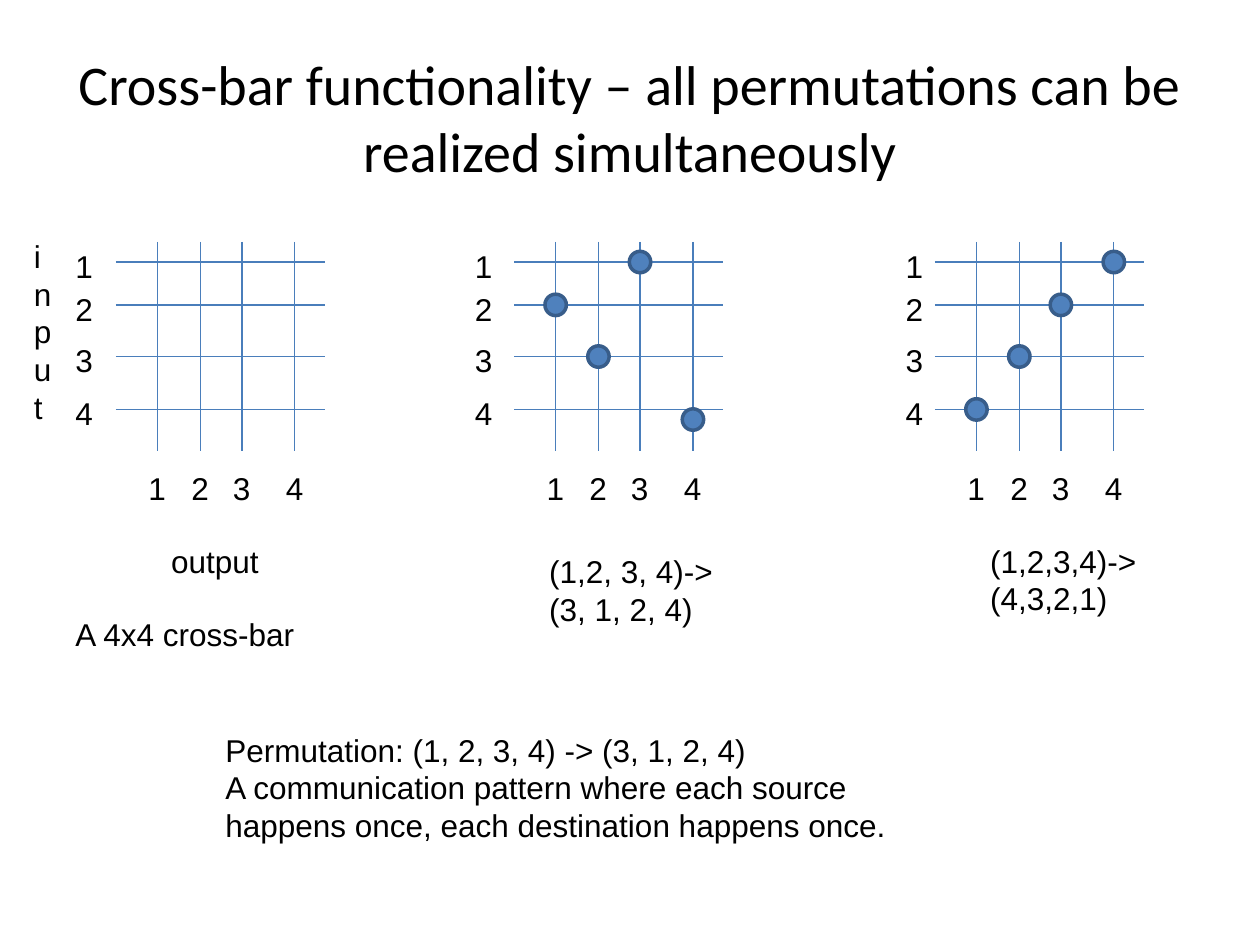
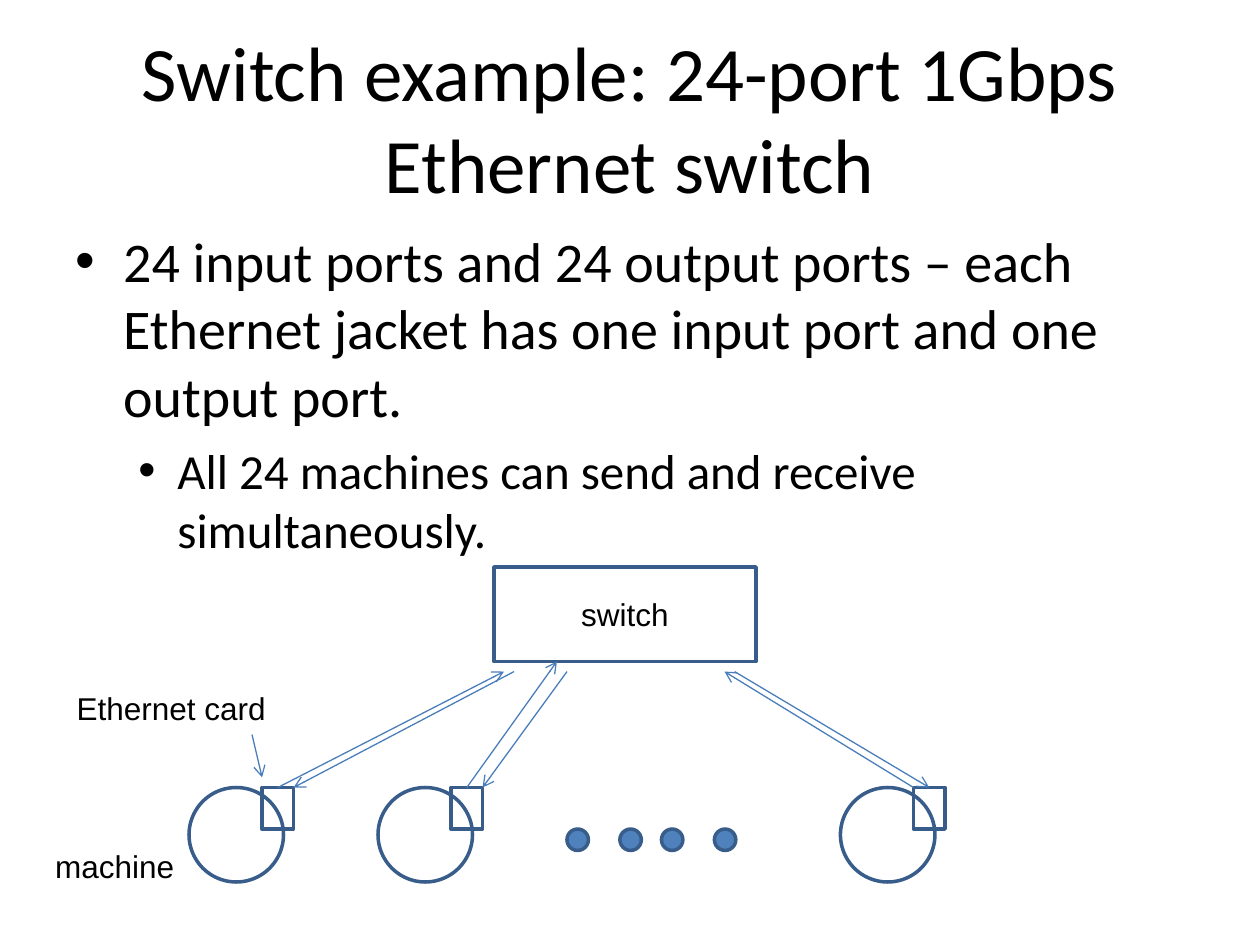
from lxml.etree import SubElement
from pptx import Presentation
from pptx.dml.color import RGBColor
from pptx.enum.shapes import MSO_CONNECTOR, MSO_SHAPE
from pptx.enum.text import MSO_ANCHOR, MSO_AUTO_SIZE, PP_ALIGN
from pptx.oxml.ns import qn
from pptx.util import Inches, Pt

COLORS = {"text": "000000", "wire": "4A7EBB", "fill": "4F81BD", "outline": "385D8A"}
HEAD_FONT, LABEL_FONT = "Calibri", "Arial"
LABEL_SIZE = 18
DOT = 0.17

# Cross-bar geometry: wire offsets are the same in every grid
GRID_TOP, GRID_SIZE = 1.92, 1.66
ROW_OFFSETS = [0.16, 0.5, 0.91, 1.33]
COL_OFFSETS = [0.33, 0.67, 1.0, 1.42]


def color(name):
    return RGBColor.from_string(COLORS[name])


class Deck:
    """Holds the shared style and the current slide."""

    def __init__(self):
        self.prs = Presentation()
        self.prs.slide_width, self.prs.slide_height = Inches(10), Inches(7.5)
        self.s = None

    def slide(self, title, size):
        self.s = self.prs.slides.add_slide(self.prs.slide_layouts[6])
        tf = self.textbox(0.5, 0.3, 9, 1.25)
        tf.vertical_anchor = MSO_ANCHOR.MIDDLE
        p = tf.paragraphs[0]
        p.alignment = PP_ALIGN.CENTER
        self.run(p, title, size, HEAD_FONT)

    def textbox(self, x, y, w, h):
        sp = self.s.shapes.add_textbox(Inches(x), Inches(y), Inches(w), Inches(h))
        sp.text_frame.word_wrap = True
        return sp.text_frame

    def run(self, p, text, size=LABEL_SIZE, font=LABEL_FONT):
        r = p.add_run()
        r.text = text
        r.font.size, r.font.name = Pt(size), font
        r.font.color.rgb = color("text")

    def label(self, x, y, *lines, w=0.34):
        tf = self.textbox(x, y, w, 0.1 + 0.3 * len(lines))
        tf.word_wrap = False
        tf.auto_size = MSO_AUTO_SIZE.SHAPE_TO_FIT_TEXT
        for i, line in enumerate(lines):
            p = tf.add_paragraph() if i else tf.paragraphs[0]
            self.run(p, line)

    def bullets(self, x, y, w, h, items):
        """Each item is (text, size, indent, hanging, space before)."""
        tf = self.textbox(x, y, w, h)
        for level, (text, size, indent, hanging, before) in enumerate(items):
            p = tf.add_paragraph() if level else tf.paragraphs[0]
            p.level = level
            pPr = p._p.get_or_add_pPr()
            pPr.set("marL", str(Inches(indent)))
            pPr.set("indent", str(-Inches(hanging)))
            SubElement(pPr, qn("a:buFont")).set("typeface", "Arial")
            SubElement(pPr, qn("a:buChar")).set("char", "•")
            p.space_before = Pt(before)
            self.run(p, text, size, HEAD_FONT)

    def shape(self, kind, x, y, w, h, fill=None, text=None):
        sp = self.s.shapes.add_shape(kind, Inches(x), Inches(y), Inches(w), Inches(h))
        sp.shadow.inherit = False
        sp.line.color.rgb, sp.line.width = color("outline"), Pt(2)
        if fill:
            sp.fill.solid()
            sp.fill.fore_color.rgb = color(fill)
        else:
            sp.fill.background()
        if text:
            p = sp.text_frame.paragraphs[0]
            p.alignment = PP_ALIGN.CENTER
            self.run(p, text)
        return sp

    def dot(self, x, y):
        self.shape(MSO_SHAPE.OVAL, x, y, DOT, DOT, fill="fill")

    def line(self, x1, y1, x2, y2, arrow=False):
        c = self.s.shapes.add_connector(
            MSO_CONNECTOR.STRAIGHT, Inches(x1), Inches(y1), Inches(x2), Inches(y2))
        c.line.color.rgb, c.line.width = color("wire"), Pt(0.75)
        if arrow:
            SubElement(c.line._get_or_add_ln(), qn("a:tailEnd")).set("type", "arrow")
        SubElement(c._element.spPr, qn("a:effectLst"))
        return c

    def crossbar(self, x, label_x, outputs=(), drops=(0, 0, 0, 0)):
        """Numbered 4x4 grid; outputs[i] is the column switched to row i + 1."""
        rows = [GRID_TOP + d for d in ROW_OFFSETS]
        cols = [x + d for d in COL_OFFSETS]
        for i, (row, col) in enumerate(zip(rows, cols), 1):
            self.line(x, row, x + GRID_SIZE, row)
            self.line(col, GRID_TOP, col, GRID_TOP + GRID_SIZE)
            self.label(label_x, row - 0.17, str(i))
            self.label(col - 0.17, 3.67, str(i))
        for row, out, drop in zip(rows, outputs, drops):
            self.dot(cols[out - 1] - DOT / 2, row - DOT / 2 + drop)

    def machine(self, x):
        """Machine circle with its Ethernet card; returns the card."""
        self.shape(MSO_SHAPE.OVAL, x, 6.25, 0.75, 0.75)
        return self.shape(MSO_SHAPE.RECTANGLE, x + 0.58, 6.25, 0.25, 0.33)


def crossbar_slide(deck):
    deck.slide("Cross-bar functionality – all permutations can be realized simultaneously", 32)

    # Three grids: empty, and two permutations
    deck.crossbar(0.92, 0.5)
    deck.crossbar(4.08, 3.67, outputs=(3, 1, 2, 4), drops=(0, 0, 0, 0.08))
    deck.crossbar(7.42, 7.09, outputs=(4, 3, 2, 1))

    # Captions
    deck.label(0.17, 1.83, *"input")
    deck.label(1.26, 4.25, "output", w=0.95)
    deck.label(0.5, 4.83, "A 4x4 cross-bar", w=1.95)
    deck.label(4.26, 4.33, "(1,2, 3, 4)->", "(3, 1, 2, 4)", w=1.5)
    deck.label(7.76, 4.25, "(1,2,3,4)->", "(4,3,2,1)", w=1.36)
    deck.label(1.69, 5.75,
               "Permutation: (1, 2, 3, 4) -> (3, 1, 2, 4)",
               "A communication pattern where each source",
               "happens once, each destination happens once.", w=5.51)


def switch_slide(deck):
    deck.slide("Switch example: 24-port 1Gbps Ethernet switch", 44)
    deck.bullets(0.5, 1.75, 9, 2.83, [
        ("24 input ports and 24 output ports – each Ethernet jacket has one "
         "input port and one output port.", 32, 0.38, 0.38, 0),
        ("All 24 machines can send and receive simultaneously.", 28, 0.81, 0.31, 7),
    ])

    # Switch and machines
    deck.shape(MSO_SHAPE.RECTANGLE, 3.92, 4.5, 2.08, 0.75, text="switch")
    first, second, last = [deck.machine(x) for x in (1.5, 3, 6.67)]
    for x in (4.5, 4.92, 5.25, 5.67):
        deck.dot(x, 6.58)

    # Links in both directions
    deck.line(2.21, 6.25, 4, 5.33, arrow=True).begin_connect(first, 0)
    deck.line(4.08, 5.33, 2.33, 6.25, arrow=True)
    deck.line(3.71, 6.25, 4.42, 5.25, arrow=True).begin_connect(second, 0)
    deck.line(4.5, 5.33, 3.83, 6.25, arrow=True)
    deck.line(7.25, 6.25, 5.75, 5.33, arrow=True)
    deck.line(5.83, 5.33, 7.38, 6.25, arrow=True).end_connect(last, 0)

    # Labels
    deck.label(0.51, 5.42, "Ethernet card", w=1.7)
    deck.line(2, 5.83, 2.08, 6.17, arrow=True)
    deck.label(0.34, 6.67, "machine", w=1.2)


def main():
    deck = Deck()
    crossbar_slide(deck)
    switch_slide(deck)
    deck.prs.save("out.pptx")


if __name__ == "__main__":
    main()
